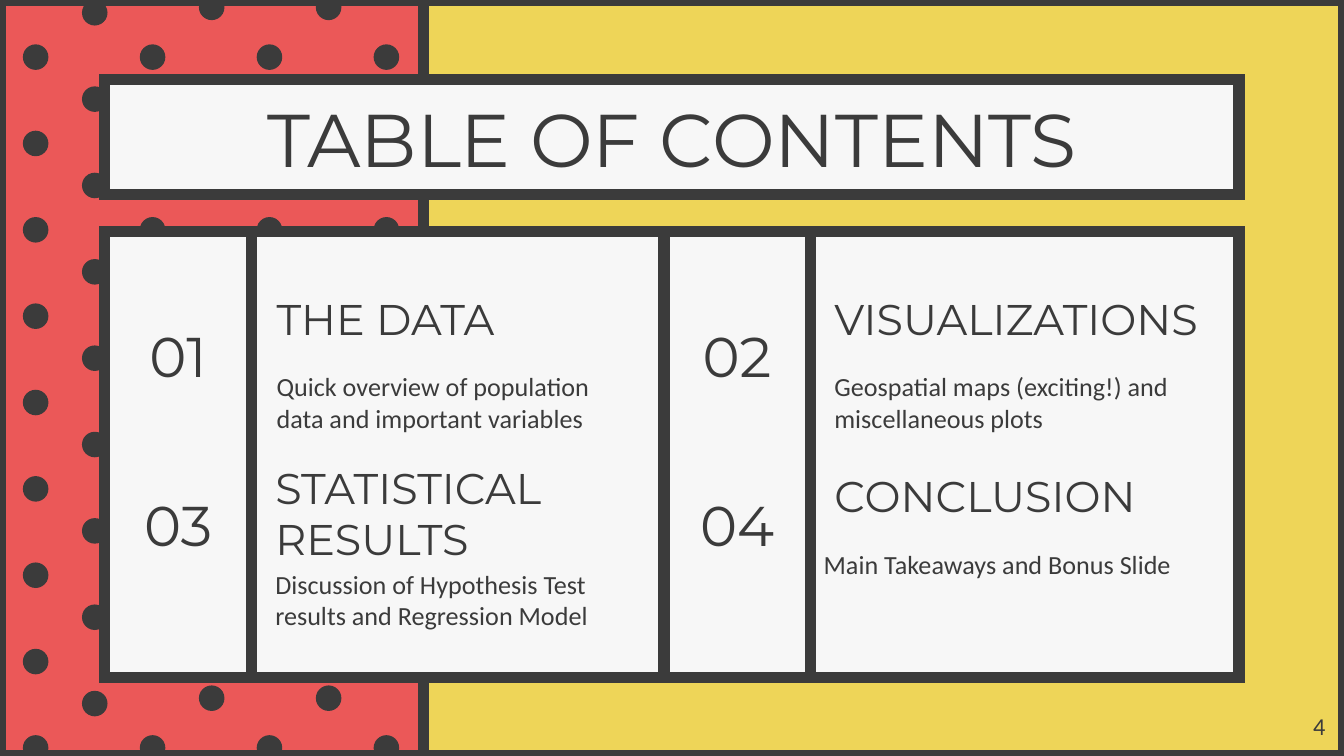
from pptx import Presentation
from pptx.dml.color import RGBColor
from pptx.enum.shapes import MSO_SHAPE
from pptx.enum.text import MSO_ANCHOR, PP_ALIGN
from pptx.oxml.ns import qn
from pptx.util import Inches, Pt
from lxml import etree

RECTANGLE, OVAL = MSO_SHAPE.RECTANGLE, MSO_SHAPE.OVAL
LEFT, CENTER, RIGHT = PP_ALIGN.LEFT, PP_ALIGN.CENTER, PP_ALIGN.RIGHT
TOP, MIDDLE, BOTTOM = MSO_ANCHOR.TOP, MSO_ANCHOR.MIDDLE, MSO_ANCHOR.BOTTOM

INK = RGBColor(0x3B, 0x3B, 0x3B)
PAPER = RGBColor(0xF7, 0xF7, 0xF7)
RED = RGBColor(0xEB, 0x58, 0x58)
YELLOW = RGBColor(0xEE, 0xD5, 0x58)

DISPLAY, BODY = "Montserrat", "Calibri"
WIDTH = 10
HEIGHT = WIDTH * 9 / 16
RED_WIDTH = 3.15
DOT_SIZE = 0.19
DOT_STEP = 5.14 / 8
PANEL_TOP, PANEL_HEIGHT = 1.72, 3.32

DOT_COLUMNS = [
    ([0.17], 0.33, range(9)),
    ([0.61], 0, range(9)),
    ([1.04, 1.91, 2.78], 0.33, (0, 2, 8)),
    ([1.48, 2.35], -0.04, (0, 1, 8)),
]

NUMBERS = [("01", 0.9, 2.41), ("02", 5.06, 2.41),
           ("03", 0.9, 3.67), ("04", 5.06, 3.67)]

HEADINGS = [
    ("THE DATA", (1.96, 2.2, 2.9, 0.46)),
    ("VISUALIZATIONS", (6.11, 2.2, 3.11, 0.46)),
    ("STATISTICAL RESULTS", (1.95, 3.84, 2.9, 0.46)),
    ("CONCLUSION", (6.11, 3.52, 2.9, 0.46)),
]

DESCRIPTIONS = [
    ("Quick overview of population data and important variables",
     (1.96, 2.66, 2.9, 0.64)),
    ("Geospatial maps (exciting!) and miscellaneous plots",
     (6.11, 2.66, 2.9, 0.64)),
    ("Discussion of Hypothesis Test results and Regression Model",
     (1.95, 4.13, 2.9, 0.64)),
    ("Main Takeaways and Bonus Slide", (6.03, 3.98, 3.28, 0.44)),
]


def write(frame, text, font=BODY, size=14, align=LEFT, anchor=TOP):
    frame.word_wrap = True
    frame.vertical_anchor = anchor
    frame.margin_left = frame.margin_right = Inches(0.1)
    frame.margin_top = frame.margin_bottom = Inches(0.1)
    paragraph = frame.paragraphs[0]
    paragraph.alignment = align
    run = paragraph.add_run()
    run.text = text
    run.font.name = font
    run.font.size = Pt(size)
    run.font.color.rgb = INK


class ComicSlide:
    """Draws the outlined panels, dots and text of one slide."""

    def __init__(self, slide):
        self.shapes = slide.shapes
        slide.background.fill.solid()
        slide.background.fill.fore_color.rgb = YELLOW

    def filled(self, kind, box, color):
        shape = self.shapes.add_shape(kind, *map(Inches, box))
        shape.shadow.inherit = False
        shape.fill.solid()
        shape.fill.fore_color.rgb = color
        return shape

    def panel(self, box, color=PAPER):
        panel = self.filled(RECTANGLE, box, color)
        panel.line.color.rgb = INK
        panel.line.width = Pt(6)
        outline = panel.element.spPr.find(qn("a:ln"))
        etree.SubElement(outline, qn("a:miter"), lim="800000")
        return panel

    def dot(self, left, top):
        dot = self.filled(OVAL, (left, top, DOT_SIZE, DOT_SIZE), INK)
        dot.line.fill.background()

    def text(self, text, box, **style):
        label = self.shapes.add_textbox(*map(Inches, box))
        write(label.text_frame, text, **style)


def main():
    deck = Presentation()
    deck.slide_width, deck.slide_height = Inches(WIDTH), Inches(HEIGHT)
    contents = ComicSlide(deck.slides.add_slide(deck.slide_layouts[6]))

    contents.panel((0, 0, RED_WIDTH, HEIGHT), RED)
    for lefts, first_top, rows in DOT_COLUMNS:
        for left in lefts:
            for row in rows:
                contents.dot(left, first_top + row * DOT_STEP)
    contents.panel((RED_WIDTH, 0, WIDTH - RED_WIDTH, HEIGHT), YELLOW)

    for left, width in [(0.78, 8.44), (0.78, 1.09), (4.94, 1.09)]:
        contents.panel((left, PANEL_TOP, width, PANEL_HEIGHT))
    title = contents.panel((0.78, 0.59, 8.44, 0.86))
    write(title.text_frame, "TABLE OF CONTENTS", font=DISPLAY, size=40,
          align=CENTER)

    for number, left, top in NUMBERS:
        contents.text(number, (left, top, 0.85, 0.46), font=DISPLAY, size=30,
                      align=CENTER, anchor=MIDDLE)
    for heading, box in HEADINGS:
        contents.text(heading, box, font=DISPLAY, size=23, anchor=BOTTOM)
    for description, box in DESCRIPTIONS:
        contents.text(description, box)
    contents.text("4", (9.36, 5.19, 0.6, 0.43), size=13, align=RIGHT)

    deck.save("out.pptx")


if __name__ == "__main__":
    main()
